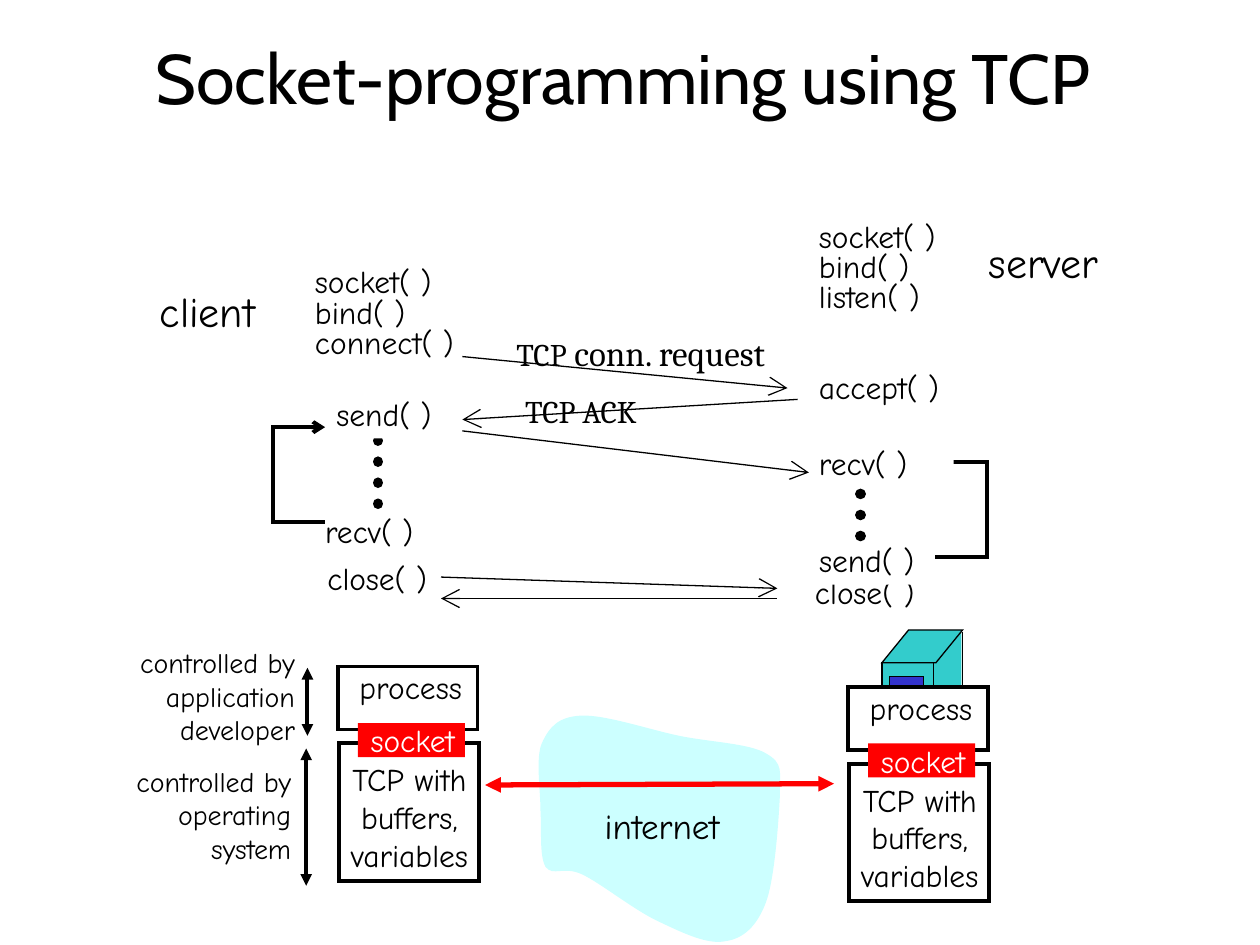
"""Build a slide on socket programming with TCP."""
from dataclasses import dataclass
from typing import Optional

from lxml import etree
from pptx import Presentation
from pptx import util as u
from pptx.dml.color import RGBColor
from pptx.enum import dml, shapes, text
from pptx.oxml import ns

BLACK = RGBColor(0x00, 0x00, 0x00)
WHITE = RGBColor(0xFF, 0xFF, 0xFF)
RED = RGBColor(0xFF, 0x00, 0x00)
TEAL = RGBColor(0x33, 0xCC, 0xCC)
BLUE = RGBColor(0x33, 0x33, 0xCC)
CYAN = RGBColor(0xCC, 0xFF, 0xFF)

LEFT, MID, RIGHT = text.PP_ALIGN.LEFT, text.PP_ALIGN.CENTER, text.PP_ALIGN.RIGHT
RECT, SLANT = shapes.MSO_SHAPE.RECTANGLE, shapes.MSO_SHAPE.PARALLELOGRAM


@dataclass
class Label:
    text: str
    box: tuple
    size: float = 18
    font: str = "Comic Neue"
    color: RGBColor = BLACK
    align: text.PP_ALIGN = LEFT
    middle: bool = False
    wrap: bool = False
    inset: bool = True
    lead: Optional[float] = None
    fill: Optional[RGBColor] = None


@dataclass
class Block:
    box: tuple
    fill: Optional[RGBColor] = None
    width: float = 0
    kind: shapes.MSO_SHAPE = RECT


@dataclass
class Line:
    start: tuple
    end: tuple
    width: float = 0.75
    color: RGBColor = BLACK
    head: str = ""
    tail: str = ""
    dots: bool = False


def inches(box: tuple) -> list:
    return [u.Inches(side) for side in box]


def add_ends(line, head: str, tail: str, size: str = "med") -> None:
    node = line._get_or_add_ln()
    for tag, kind in (("a:headEnd", head), ("a:tailEnd", tail)):
        if kind:
            etree.SubElement(node, ns.qn(tag), type=kind, w=size, len=size)


def draw_label(slide, item: Label):
    shape = slide.shapes.add_textbox(*inches(item.box))
    if item.fill is not None:
        shape.fill.solid()
        shape.fill.fore_color.rgb = item.fill
    frame = shape.text_frame
    frame.text = item.text
    frame.word_wrap = item.wrap
    frame.auto_size = text.MSO_AUTO_SIZE.SHAPE_TO_FIT_TEXT
    frame.vertical_anchor = text.MSO_ANCHOR.MIDDLE if item.middle else text.MSO_ANCHOR.TOP
    if not item.inset:
        frame.margin_left = frame.margin_right = 0
        frame.margin_top = frame.margin_bottom = 0
    for para in frame.paragraphs:
        para.alignment = item.align
        if item.lead:
            para.line_spacing = item.lead
        for run in para.runs:
            style_run(run, item)
    return frame


def style_run(run, item: Label) -> None:
    run.font.name = item.font
    run.font.size = u.Pt(item.size)
    run.font.color.rgb = item.color


def paint(shape, fill: Optional[RGBColor], width: float) -> None:
    shape.shadow.inherit = False
    if fill is None:
        shape.fill.background()
    else:
        shape.fill.solid()
        shape.fill.fore_color.rgb = fill
    if width:
        shape.line.color.rgb = BLACK
        shape.line.width = u.Pt(width)
        etree.SubElement(shape.line._get_or_add_ln(), ns.qn("a:miter"), lim="800000")
    else:
        shape.line.fill.background()


def draw_block(slide, item: Block) -> None:
    shape = slide.shapes.add_shape(item.kind, *inches(item.box))
    if item.kind == SLANT:
        shape.adjustments[0] = 0.814
    paint(shape, item.fill, item.width)


def draw_line(slide, item: Line) -> None:
    ends = inches(item.start + item.end)
    link = slide.shapes.add_connector(shapes.MSO_CONNECTOR.STRAIGHT, *ends)
    link.line.color.rgb = item.color
    link.line.width = u.Pt(item.width)
    if item.dots:
        link.line.dash_style = dml.MSO_LINE.ROUND_DOT
        link.line._get_or_add_ln().set("cap", "rnd")
    add_ends(link.line, item.head, item.tail, "lg" if item.width < 1 else "med")
    etree.SubElement(link._element.spPr, ns.qn("a:effectLst"))


def draw_path(slide, points: list, closed: bool):
    spots = [inches(point) for point in points]
    pen = slide.shapes.build_freeform(*spots[0])
    pen.add_line_segments(spots[1:], close=closed)
    return pen.convert_to_shape()


def draw_loop(slide, edge: float, far: float, low: float) -> None:
    top = low - 0.75
    shape = draw_path(slide, [(edge, low), (far, low), (far, top), (edge, top)], False)
    paint(shape, None, 2.25)
    add_ends(shape.line, "", "arrow")


def draw_cloud(slide, knots: list) -> None:
    shape = draw_path(slide, knots, True)
    legs = list(shape._element.iter(ns.qn("a:lnTo")))
    for first in range(0, len(legs), 3):
        curve = etree.Element(ns.qn("a:cubicBezTo"))
        legs[first].addprevious(curve)
        for leg in legs[first:first + 3]:
            curve.append(leg[0])
            leg.getparent().remove(leg)
    paint(shape, CYAN, 0)


def draw_host(slide, x: float, y: float) -> None:
    draw_block(slide, Block((x, y, 1.11, 0.5), WHITE, 2.25))
    draw_label(slide, Label("process", (x + 0.03, y - 0.06, 1.1, 0.45), align=MID, middle=True))
    draw_label(slide, Label("TCP with\nbuffers,\nvariables", (x - 0.05, y + 0.62, 1.24, 1.15),
                            align=MID, middle=True))
    draw_block(slide, Block((x + 0.01, y + 0.61, 1.11, 1.09), None, 2.25))
    draw_block(slide, Block((x + 0.16, y + 0.45, 0.85, 0.27), RED))
    draw_label(slide, Label("socket", (x + 0.11, y + 0.36, 0.97, 0.45), color=WHITE,
                            align=MID, middle=True))


def call(words: str, x: float, y: float, w: float, h: float, lead: Optional[float] = None,
         fill: Optional[RGBColor] = None, wrap: bool = True) -> Label:
    return Label(words, (x, y, w, h), inset=False, lead=lead, fill=fill, wrap=wrap)


DOTS = [Line((6.83, 3.92), (6.83, 4.67), 6, dots=True),
        Line((3, 3.33), (3, 4.33), 6, dots=True)]
TOWER = [Block((7, 5.88, 0.64, 0.26), TEAL, kind=SLANT),
         Block((7.33, 5.01, 0.3, 0.88), TEAL),
         Block((7, 5.26, 0.41, 0.88), TEAL, 0.75),
         Block((7, 5, 0.64, 0.26), TEAL, 0.75, SLANT),
         Block((7.06, 5.37, 0.27, 0.51), BLUE, 0.75)]
EDGES = [Line((7.64, 5.02), (7.64, 5.88)), Line((7.64, 5.88), (7.41, 6.13))]
CLOUD = [(4.61, 5.68), (4.43, 5.69), (4.36, 5.77), (4.3, 5.9), (4.25, 6.02), (4.29, 6.27),
         (4.29, 6.43), (4.3, 6.6), (4.28, 6.79), (4.33, 6.88), (4.39, 6.96), (4.47, 6.87),
         (4.62, 6.94), (4.77, 7.01), (5.04, 7.23), (5.24, 7.32), (5.43, 7.41), (5.62, 7.5),
         (5.76, 7.47), (5.9, 7.45), (6.01, 7.35), (6.08, 7.16), (6.15, 6.97), (6.18, 6.51),
         (6.19, 6.32), (6.19, 6.12), (6.22, 6.06), (6.08, 5.98), (5.95, 5.9), (5.63, 5.89),
         (5.39, 5.84), (5.15, 5.79), (4.8, 5.67), (4.61, 5.68)]
SPANS = [Line((x, low), (x, top), 2.25, head="triangle", tail="triangle")
         for x, low, top in ((2.44, 5.84, 5.3), (2.43, 7.03, 5.94))]
LINK = Line((6.62, 6.22), (3.85, 6.23), 3, RED, "triangle", "triangle")
FLOWS = [Line((3.67, 3.42), (6.42, 3.75), tail="arrow"),
         Line((3.5, 4.58), (6.17, 4.67), tail="arrow"),
         Line((3.5, 4.75), (6.17, 4.75), head="arrow"),
         Line((3.67, 2.83), (6.25, 3.08), tail="arrow"),
         Line((6.33, 3.17), (3.67, 3.33), tail="arrow")]
TITLE = Label("Socket-programming using TCP", (0.2, -0.02, 9.49, 1.25), 40, "Cabin",
              align=MID, middle=True, wrap=True)
NOTES = [Label("controlled by\napplication\ndeveloper", (0.88, 5.01, 1.56, 1.03), 16,
               align=RIGHT, middle=True),
         Label("controlled by\noperating\nsystem", (0.85, 5.95, 1.56, 1.03), 16,
               align=RIGHT, middle=True),
         Label("internet", (4.62, 6.31, 1.27, 0.49), 20, align=MID, middle=True),
         Label("client", (1.17, 2.22, 1.07, 0.57), 24),
         Label("server", (7.75, 1.83, 1.21, 0.57), 24)]
CALLS = [call("socket( )\nbind( )\nconnect( )", 2.5, 2.14, 1.16, 0.84, 0.8, wrap=False),
         call("socket( )\nbind( )\nlisten( )", 6.5, 1.78, 1.07, 0.84, 0.8),
         call("accept( )", 6.5, 2.92, 1.07, 0.35),
         call("send( )", 2.67, 3.17, 0.92, 0.31, 0.9, WHITE),
         call("recv( )", 6.5, 3.58, 1.07, 0.28, 0.8, WHITE),
         Label("close( )", (2.5, 4.39, 1.04, 0.45)),
         Label("close( )", (6.37, 4.5, 1.04, 0.45), fill=WHITE),
         call("recv( )", 2.58, 4.1, 0.92, 0.31, 0.9, WHITE),
         call("send( )", 6.5, 4.33, 0.92, 0.31, 0.9, WHITE)]
ASK = Label("TCP", (4, 2.58, 2.21, 0.43), font="Cambria")
REST = Label(" conn. request", ASK.box, 20, "Cambria")
REPLY = Label("TCP ACK", (4.07, 3.06, 1.25, 0.4), font="Cambria")


def main() -> None:
    deck = Presentation()
    deck.slide_width, deck.slide_height = u.Inches(10), u.Inches(7.5)
    slide = deck.slides.add_slide(deck.slide_layouts[6])
    for item in DOTS:
        draw_line(slide, item)
    for item in TOWER:
        draw_block(slide, item)
    for item in EDGES:
        draw_line(slide, item)
    draw_label(slide, TITLE)
    draw_host(slide, 2.68, 5.29)
    draw_host(slide, 6.73, 5.45)
    draw_cloud(slide, CLOUD)
    for item in [*SPANS, LINK, *FLOWS]:
        draw_line(slide, item)
    draw_loop(slide, 2.58, 2.17, 4.14)
    draw_loop(slide, 7.42, 7.83, 4.42)
    for item in [*NOTES, *CALLS, REPLY]:
        draw_label(slide, item)
    run = draw_label(slide, ASK).paragraphs[0].add_run()
    run.text = REST.text
    style_run(run, REST)
    deck.save("out.pptx")


if __name__ == "__main__":
    main()
